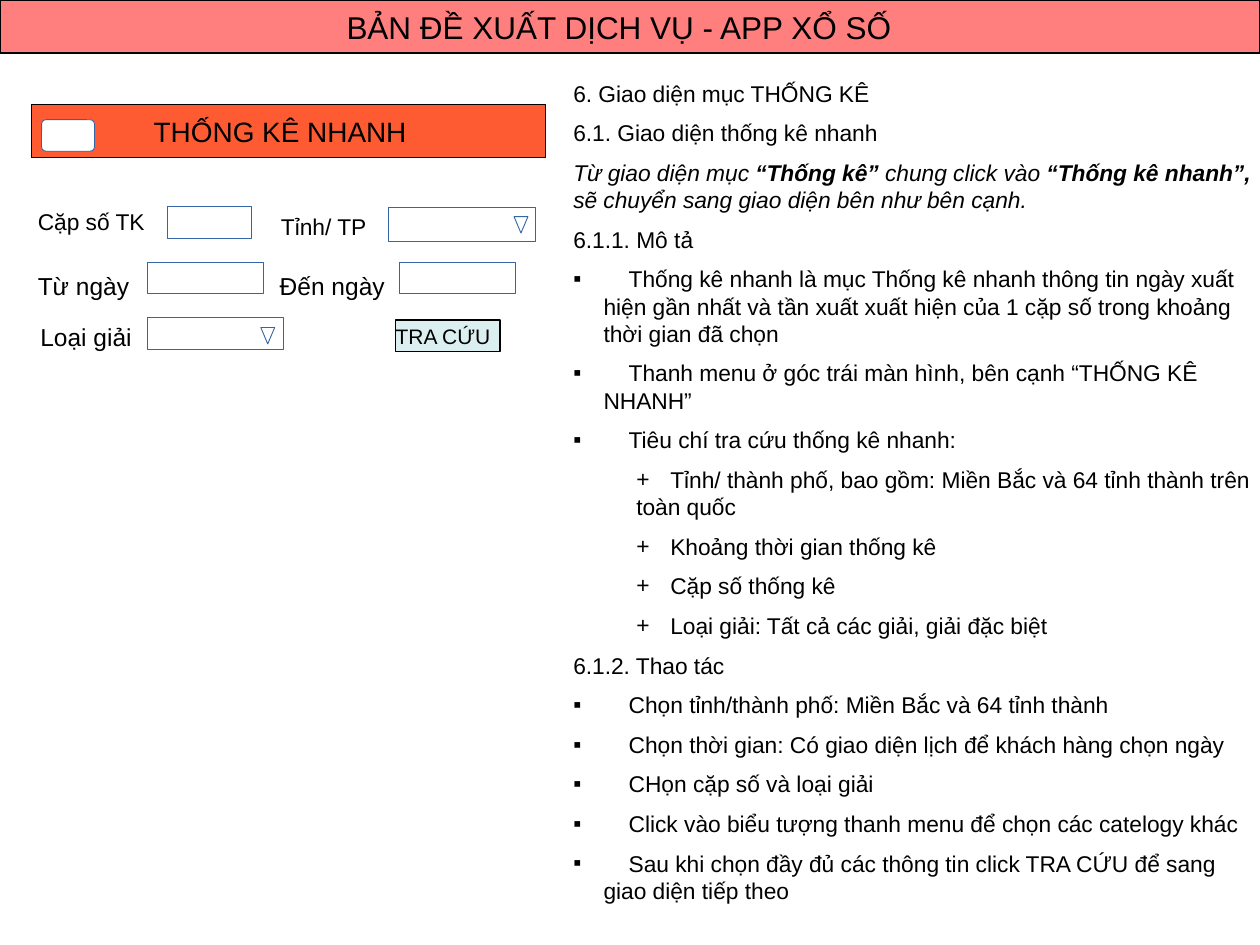
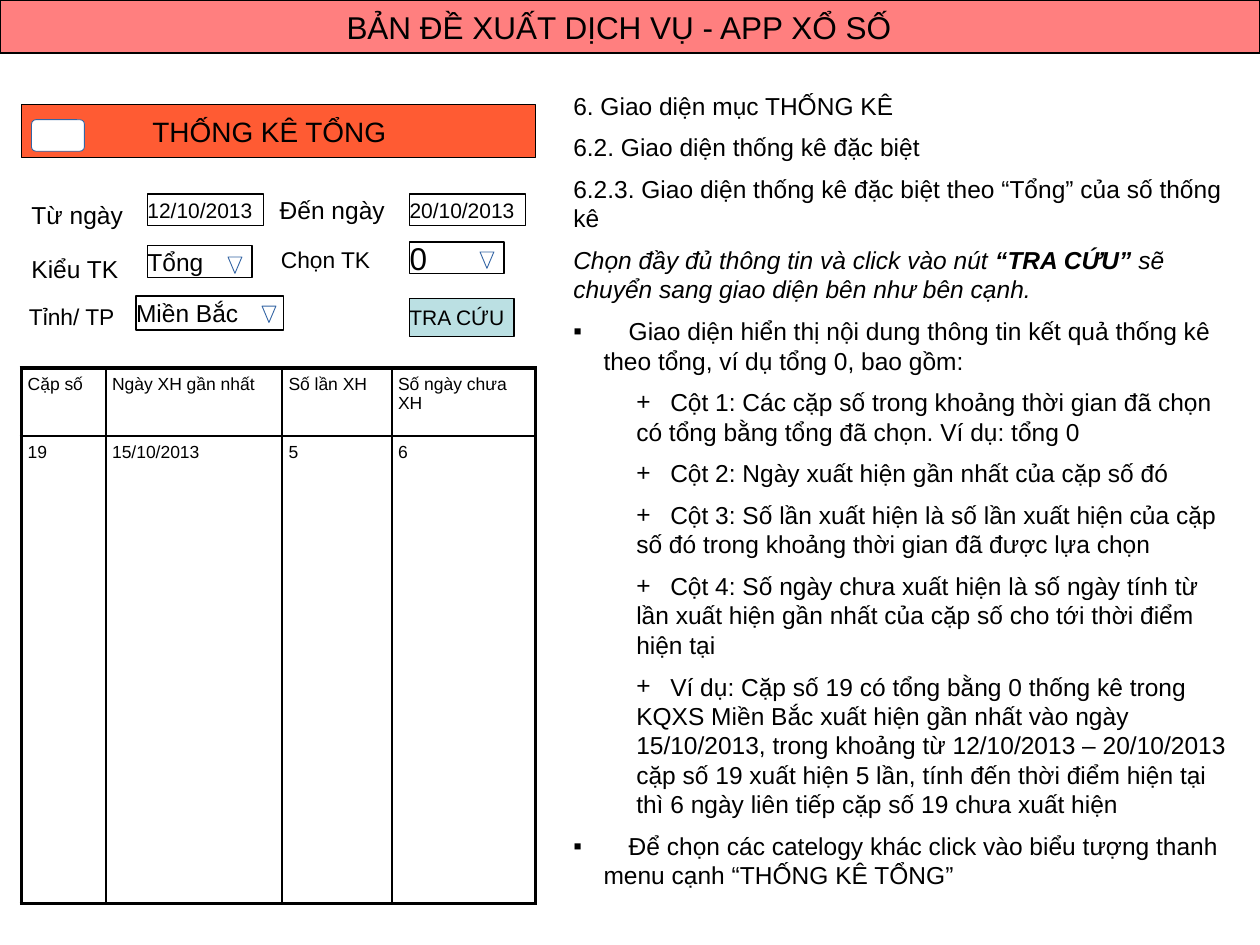
from dataclasses import dataclass

from lxml import etree
from pptx import Presentation
from pptx.dml.color import RGBColor
from pptx.enum.shapes import MSO_SHAPE
from pptx.enum.text import MSO_ANCHOR, MSO_AUTO_SIZE, PP_ALIGN
from pptx.oxml.ns import qn
from pptx.util import Inches, Pt

RECT = MSO_SHAPE.RECTANGLE
ROUNDED = MSO_SHAPE.ROUNDED_RECTANGLE
ARROW_DOWN = MSO_SHAPE.FLOWCHART_MERGE
TOP, MIDDLE = MSO_ANCHOR.TOP, MSO_ANCHOR.MIDDLE
LEFT = PP_ALIGN.LEFT
NO_AUTOFIT = MSO_AUTO_SIZE.NONE

BLACK = RGBColor(0x00, 0x00, 0x00)
WHITE = RGBColor(0xFF, 0xFF, 0xFF)
RED = RGBColor(0xFF, 0x00, 0x00)
ORANGE = RGBColor(0xFF, 0x33, 0x00)
TEAL = RGBColor(0xBB, 0xE0, 0xE3)
BLUE = RGBColor(0x34, 0x65, 0xA4)
FONT = "Arial"
TITLE = "BẢN ĐỀ XUẤT DỊCH VỤ - APP XỔ SỐ"
TITLE_ONLY = 5


@dataclass(frozen=True)
class Para:
    text: str = ""
    bullet: str = ""
    runs: tuple = ()


@dataclass(frozen=True)
class BulletStyle:
    margin: float
    indent: float
    gap: float


@dataclass(frozen=True)
class Label:
    text: str
    left: float
    top: float
    size: int = 14


@dataclass(frozen=True)
class Field:
    left: float
    top: float
    width: float
    height: float = 0.25
    text: str = ""
    size: int = 14
    line: RGBColor = BLACK
    fill: RGBColor = WHITE
    alpha: int = 100


BULLETS = {"▪": BulletStyle(0.24, -0.24, 0.2), "+": BulletStyle(0.5, 0, 0.27)}


def square(text: str) -> Para:
    return Para(text, "▪")


def plus(text: str) -> Para:
    return Para(text, "+")


def add_bullet(p, char: str) -> None:
    style = BULLETS[char]
    pPr = p._p.get_or_add_pPr()
    pPr.set("marL", str(Inches(style.margin)))
    pPr.set("indent", str(Inches(style.indent)))
    etree.SubElement(pPr, qn("a:buFont"), typeface=FONT)
    etree.SubElement(pPr, qn("a:buChar"), char=char)
    tabs = etree.SubElement(pPr, qn("a:tabLst"))
    for pos in (style.gap, style.margin + style.gap):
        etree.SubElement(tabs, qn("a:tab"), pos=str(Inches(pos)), algn="l")


def add_run(p, text: str, size: int, bold: bool = False, italic: bool = False) -> None:
    r = p.add_run()
    r.text = text
    r.font.name = FONT
    r.font.size = Pt(size)
    r.font.bold = bold
    r.font.italic = italic
    r.font.color.rgb = BLACK


def write(tf, text: str, *, size: int, inset: float = 0.05, left: float | None = None,
          anchor=TOP) -> None:
    tf.word_wrap = True
    tf.auto_size = NO_AUTOFIT
    tf.vertical_anchor = anchor
    tf.margin_top = tf.margin_right = tf.margin_bottom = Inches(inset)
    tf.margin_left = Inches(inset if left is None else left)
    p = tf.paragraphs[0]
    p.alignment = LEFT
    add_run(p, text, size)


def paint(sp, fill: RGBColor, line: RGBColor, alpha: int = 100) -> None:
    sp.fill.solid()
    sp.fill.fore_color.rgb = fill
    if alpha < 100:
        color = sp._element.spPr.find(qn("a:solidFill"))[0]
        etree.SubElement(color, qn("a:alpha"), val=str(alpha * 1000))
    sp.line.color.rgb = line
    sp.line.width = Pt(0.75 if line == BLACK else 0.5)


def add_box(s, left: float, top: float, width: float, height: float, *, kind=RECT,
            fill: RGBColor = WHITE, line: RGBColor = BLUE, alpha: int = 100):
    sp = s.shapes.add_shape(kind, Inches(left), Inches(top), Inches(width), Inches(height))
    sp.shadow.inherit = False
    paint(sp, fill, line, alpha)
    return sp


def add_label(s, label: Label) -> None:
    sp = s.shapes.add_textbox(Inches(label.left), Inches(label.top), Inches(1.3), Inches(0.32))
    write(sp.text_frame, label.text, size=label.size)


def add_field(s, field: Field) -> None:
    sp = add_box(s, field.left, field.top, field.width, field.height,
                 fill=field.fill, line=field.line, alpha=field.alpha)
    if field.text:
        write(sp.text_frame, field.text, size=field.size, inset=0, anchor=MIDDLE)


def add_description(s, paras: list[Para], *, top: float, width: float, height: float,
                    size: int) -> None:
    sp = s.shapes.add_textbox(Inches(4.5), Inches(top), Inches(width), Inches(height))
    tf = sp.text_frame
    tf.word_wrap = True
    tf.margin_left = tf.margin_top = tf.margin_right = tf.margin_bottom = Inches(0.05)
    for i, para in enumerate(paras):
        p = tf.add_paragraph() if i else tf.paragraphs[0]
        if para.bullet:
            add_bullet(p, para.bullet)
        p.space_before = Pt(size // 2 + size % 2 if i else 0)
        if para.runs:
            for text, bold in para.runs:
                add_run(p, text, size, bold, italic=True)
        else:
            add_run(p, ("\t" if para.bullet else "") + para.text, size)


def add_screen(prs, heading: str, left: float, heading_left: float, labels: list[Label],
               fields: list[Field], arrows: list[tuple[float, float]]):
    s = prs.slides.add_slide(prs.slide_layouts[TITLE_ONLY])
    title = s.shapes.title
    title.left, title.top, title.width, title.height = 0, 0, Inches(10), Inches(0.42)
    paint(title, RED, BLACK, 50)
    write(title.text_frame, TITLE, size=18, inset=0, left=2.75, anchor=MIDDLE)
    bar = add_box(s, left, 0.83, 4.08, 0.42, fill=ORANGE, line=BLACK, alpha=80)
    write(bar.text_frame, heading, size=16, inset=0, left=heading_left - left, anchor=MIDDLE)
    menu = add_box(s, left + 0.08, 0.95, 0.42, 0.25, kind=ROUNDED)
    menu.adjustments[0] = 0.14
    for label in labels:
        add_label(s, label)
    for field in fields:
        add_field(s, field)
    for x, y in arrows:
        add_box(s, x, y, 0.11, 0.13, kind=ARROW_DOWN)
    return s


def set_border(cell, side: str, width: float) -> None:
    ln = etree.SubElement(cell._tc.get_or_add_tcPr(), qn(f"a:{side}"), w=str(Pt(width)))
    fill = etree.SubElement(ln, qn("a:solidFill"))
    etree.SubElement(fill, qn("a:srgbClr"), val=str(BLACK))


def add_results(s, rows: list[list[str]], widths: list[float], heights: list[float]) -> None:
    frame = s.shapes.add_table(len(rows), len(widths), Inches(0.17), Inches(2.92),
                               Inches(sum(widths)), Inches(sum(heights)))
    table = frame.table
    table.first_row = table.horz_banding = False
    for col, width in zip(table.columns, widths):
        col.width = Inches(width)
    for row, height in zip(table.rows, heights):
        row.height = Inches(height)
    for i, values in enumerate(rows):
        for j, value in enumerate(values):
            cell = table.cell(i, j)
            cell.margin_left = cell.margin_right = Inches(0.05)
            cell.margin_top = cell.margin_bottom = Inches(0.05)
            add_run(cell.text_frame.paragraphs[0], value, 10)
            outer = {"lnL": j == 0, "lnR": j == len(widths) - 1,
                     "lnT": i == 0, "lnB": i == len(rows) - 1}
            for side, is_outer in outer.items():
                set_border(cell, side, 2.25 if is_outer else 1)
            cell.fill.background()


def build_quick_stats(prs) -> None:
    labels = [
        Label("Cặp số TK", 0.25, 1.6, 13), Label("Tỉnh/ TP", 2.18, 1.64, 13),
        Label("Từ ngày", 0.25, 2.1), Label("Đến ngày", 2.17, 2.1),
        Label("Loại giải", 0.27, 2.51),
    ]
    fields = [
        Field(1.33, 1.64, 0.67, line=BLUE), Field(3.08, 1.65, 1.17, 0.27, line=BLUE),
        Field(1.17, 2.08, 0.92, line=BLUE), Field(3.17, 2.08, 0.92, line=BLUE),
        Field(1.17, 2.52, 1.08, line=BLUE),
        Field(3.14, 2.54, 0.83, text="TRA CỨU", size=12, fill=TEAL, alpha=50),
    ]
    s = add_screen(prs, "THỐNG KÊ NHANH", 0.25, 1.22, labels, fields,
                   [(4.08, 1.72), (2.07, 2.6)])
    add_description(s, [
        Para("6. Giao diện mục THỐNG KÊ"),
        Para("6.1. Giao diện thống kê nhanh"),
        Para(runs=(("Từ giao diện mục ", False), ("“Thống kê” ", True),
                   ("chung click vào", False), (" “Thống kê nhanh”, ", True),
                   ("sẽ chuyển sang giao diện bên như bên cạnh.", False))),
        Para("6.1.1. Mô tả"),
        square("Thống kê nhanh là mục Thống kê nhanh thông tin ngày xuất hiện gần nhất "
               "và tần xuất xuất hiện của 1 cặp số trong khoảng thời gian đã chọn"),
        square("Thanh menu ở góc trái màn hình, bên cạnh “THỐNG KÊ NHANH”"),
        square("Tiêu chí tra cứu thống kê nhanh:"),
        plus("Tỉnh/ thành phố, bao gồm: Miền Bắc và 64 tỉnh thành trên toàn quốc"),
        plus("Khoảng thời gian thống kê"),
        plus("Cặp số thống kê"),
        plus("Loại giải: Tất cả các giải, giải đặc biệt"),
        Para("6.1.2. Thao tác"),
        square("Chọn tỉnh/thành phố: Miền Bắc và 64 tỉnh thành"),
        square("Chọn thời gian: Có giao diện lịch để khách hàng chọn ngày"),
        square("CHọn cặp số và loại giải"),
        square("Click vào biểu tượng thanh menu để chọn các catelogy khác"),
        square("Sau khi chọn đầy đủ các thông tin click TRA CỨU để sang giao diện tiếp theo"),
    ], top=0.58, width=5.5, height=6.62, size=13)


def build_total_stats(prs) -> None:
    labels = [
        Label("Từ ngày", 0.2, 1.54), Label("Đến ngày", 2.17, 1.5),
        Label("Kiểu TK", 0.2, 1.97), Label("Chọn TK", 2.18, 1.9, 13),
        Label("Tỉnh/ TP", 0.18, 2.35, 13),
    ]
    fields = [
        Field(1.17, 1.54, 0.92, text="12/10/2013", size=12),
        Field(3.25, 1.54, 0.92, text="20/10/2013", size=12),
        Field(1.17, 1.95, 0.83, text="Tổng"),
        Field(3.25, 1.92, 0.75, text="0", size=18),
        Field(1.08, 2.35, 1.17, 0.27, text="Miền Bắc"),
        Field(3.25, 2.37, 0.83, 0.3, text="TRA CỨU", size=12, fill=TEAL),
    ]
    s = add_screen(prs, "THỐNG KÊ TỔNG", 0.17, 1.21, labels, fields,
                   [(1.81, 2.04), (3.81, 2), (2.08, 2.43)])
    add_results(s, [["Cặp số", "Ngày XH gần nhất", "Số lần XH", "Số ngày chưa XH"],
                    ["19", "15/10/2013", "5", "6"]],
                [0.67, 1.4, 0.87, 1.14], [0.54, 3.71])
    add_description(s, [
        Para("6. Giao diện mục THỐNG KÊ"),
        Para("6.2. Giao diện thống kê đặc biệt"),
        Para("6.2.3. Giao diện thống kê đặc biệt theo “Tổng” của số thống kê"),
        Para(runs=(("Chọn đầy đủ thông tin và click vào nút", False), (" “TRA CỨU” ", True),
                   ("sẽ chuyển sang giao diện bên như bên cạnh.", False))),
        square("Giao diện hiển thị nội dung thông tin kết quả thống kê theo tổng, "
               "ví dụ tổng 0, bao gồm:"),
        plus("Cột 1: Các cặp số trong khoảng thời gian đã chọn có tổng bằng tổng đã chọn. "
             "Ví dụ: tổng 0"),
        plus("Cột 2: Ngày xuất hiện gần nhất của cặp số đó"),
        plus("Cột 3: Số lần xuất hiện là số lần xuất hiện của cặp số đó trong khoảng "
             "thời gian đã được lựa chọn"),
        plus("Cột 4: Số ngày chưa xuất hiện là số ngày tính từ lần xuất hiện gần nhất "
             "của cặp số cho tới thời điểm hiện tại"),
        plus("Ví dụ: Cặp số 19 có tổng bằng 0 thống kê trong KQXS Miền Bắc xuất hiện gần "
             "nhất vào ngày 15/10/2013, trong khoảng từ 12/10/2013 – 20/10/2013 cặp số 19 "
             "xuất hiện 5 lần, tính đến thời điểm hiện tại thì 6 ngày liên tiếp cặp số 19 "
             "chưa xuất hiện"),
        square("Để chọn các catelogy khác click vào biểu tượng thanh menu cạnh "
               "“THỐNG KÊ TỔNG”"),
    ], top=0.67, width=5.33, height=6.37, size=14)


def main() -> None:
    prs = Presentation()
    prs.slide_width, prs.slide_height = Inches(10), Inches(7.5)
    build_quick_stats(prs)
    build_total_stats(prs)
    prs.save("out.pptx")


if __name__ == "__main__":
    main()
